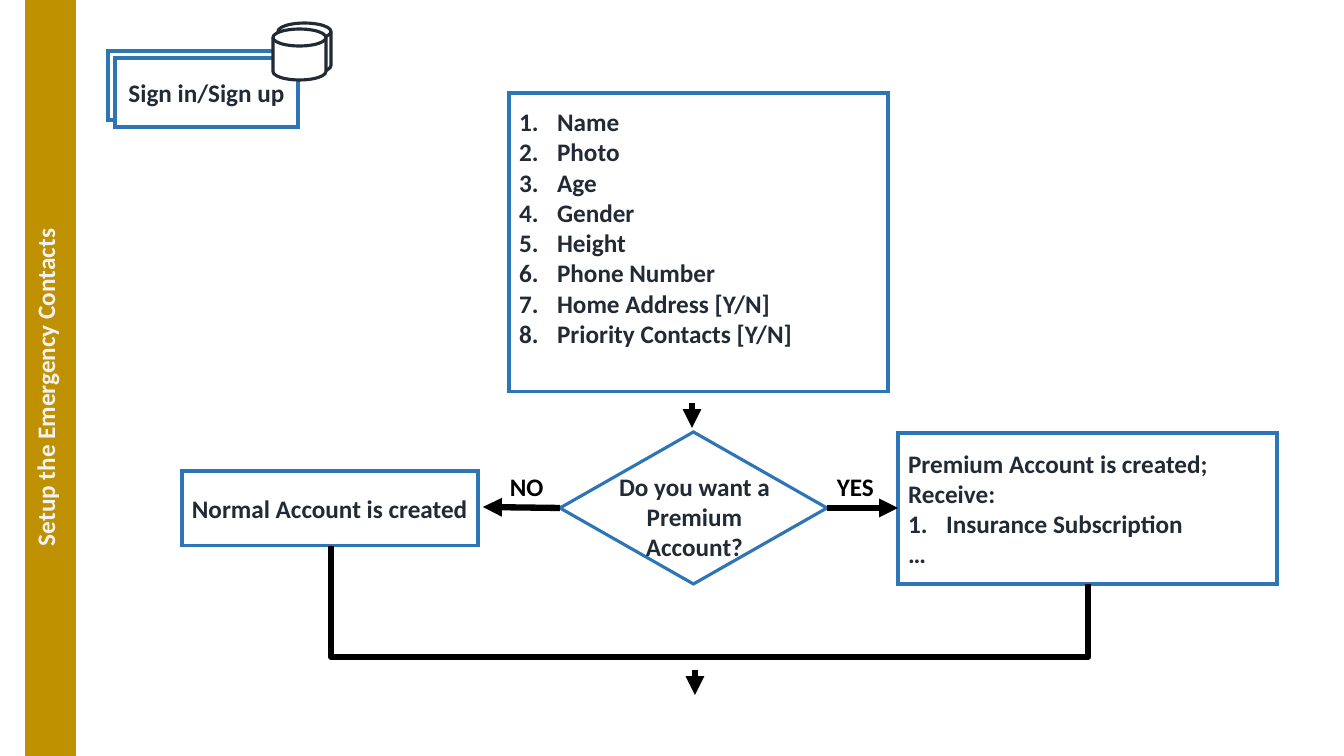
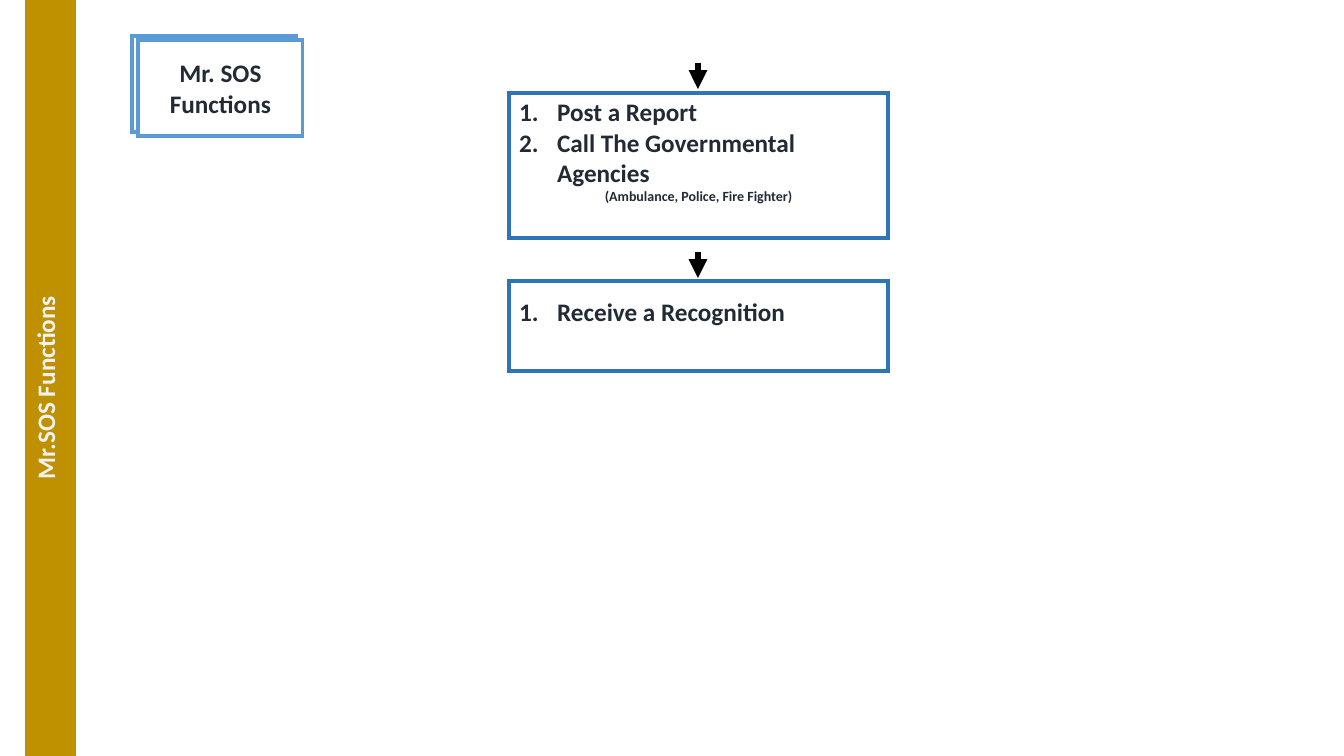
from collections import namedtuple

from lxml.etree import SubElement
from pptx import Presentation
from pptx.dml.color import RGBColor
from pptx.enum.shapes import MSO_CONNECTOR as Connector, MSO_SHAPE as Preset
from pptx.enum.text import MSO_ANCHOR as Anchor, MSO_AUTO_SIZE as AutoSize, PP_ALIGN as Align
from pptx.oxml.ns import qn
from pptx.util import Emu, Pt

# Shared look
GOLD = RGBColor(0xBF, 0x90, 0x00)
PALE = RGBColor(0xF2, 0xF2, 0xF2)
BLUE = RGBColor(0x2E, 0x75, 0xB6)
LIGHT_BLUE = RGBColor(0x5B, 0x9B, 0xD5)
INK = RGBColor(0x22, 0x2A, 0x35)
BLACK = RGBColor(0, 0, 0)
WHITE = RGBColor(255, 255, 255)
FONT = "Calibri"
OUTLINE, ARROW = Pt(2.25), Pt(4.5)
LIST_INDENT = 38
INSET = 5
TEXT_ROW = 30
BAND_LEFT, BAND_WIDTH, BAND_LENGTH = 25, 51, 775
TWO_CONTENT_LAYOUT = 3

Line = namedtuple("Line", "text numbered align size", defaults=(False, Align.LEFT, 18))


def px(value):
    return Emu(round(value * 9144000 / 1008))


def place(shape, box):
    shape.left, shape.top, shape.width, shape.height = map(px, box)


def numbered(*texts):
    return [Line(text, numbered=True) for text in texts]


def centred(text):
    return [Line(text, align=Align.CENTER)]


# Text
def write(shape, lines, color=INK, anchor=Anchor.MIDDLE, bottom=INSET):
    frame = shape.text_frame
    frame.word_wrap = True
    frame.auto_size = AutoSize.NONE
    frame.vertical_anchor = anchor
    frame.margin_bottom = px(bottom)
    for index, line in enumerate(lines):
        paragraph = frame.add_paragraph() if index else frame.paragraphs[0]
        paragraph.alignment = line.align
        paragraph.space_before = Pt(0)
        set_bullet(paragraph, line.numbered)
        run = paragraph.add_run()
        run.text = line.text
        run.font.name, run.font.size, run.font.bold = FONT, Pt(line.size), True
        run.font.color.rgb = color


def set_bullet(paragraph, is_numbered):
    indent = px(LIST_INDENT) if is_numbered else 0
    properties = paragraph._p.get_or_add_pPr()
    properties.set("marL", str(indent))
    properties.set("indent", str(-indent))
    if is_numbered:
        SubElement(properties, qn("a:buAutoNum"), type="arabicPeriod")
    else:
        SubElement(properties, qn("a:buNone"))


def add_label(slide, box, text, color=BLACK, align=Align.LEFT):
    label = slide.shapes.add_textbox(*map(px, box))
    write(label, [Line(text, align=align)], color, Anchor.TOP)


# Boxes
def outline(shape, color):
    """Give a shape a thin line with sharp corners."""
    shape.line.color.rgb = color
    shape.line.width = OUTLINE
    SubElement(shape.line._get_or_add_ln(), qn("a:miter"), lim="800000")


def add_box(slide, box, lines=(), line_color=BLUE, preset=Preset.RECTANGLE):
    shape = slide.shapes.add_shape(preset, *map(px, box))
    shape.shadow.inherit = False
    shape.fill.solid()
    shape.fill.fore_color.rgb = WHITE
    outline(shape, line_color)
    write(shape, lines)


def add_stack(slide, box, offset, lines=(), **style):
    """Draw a box at the given place with a twin shifted behind it."""
    left, top, width, height = box
    add_box(slide, (left + offset[0], top + offset[1], width, height), **style)
    add_box(slide, box, lines, **style)


def fill_panel(panel, box, lines, bottom=INSET):
    place(panel, box)
    outline(panel, BLUE)
    write(panel, lines, bottom=bottom)


# Connectors
def add_connector(slide, kind, points):
    connector = slide.shapes.add_connector(kind, *map(px, points))
    connector.line.color.rgb = BLACK
    connector.line.width = ARROW
    SubElement(connector._element.spPr, qn("a:effectLst"))
    return connector


def add_arrow(slide, *points):
    arrow = add_connector(slide, Connector.STRAIGHT, points)
    SubElement(arrow.line._get_or_add_ln(), qn("a:tailEnd"), type="triangle")


def add_bracket(slide, start, end, bottom):
    """Join two points by an elbow line running along the given bottom."""
    (x1, y1), (x2, y2) = start, end
    drop, half_drop, half_span = y2 - y1, (y2 - y1) / 2, (x2 - x1) / 2
    mid_x, mid_y = (x1 + x2) / 2, (y1 + y2) / 2
    elbow = add_connector(slide, Connector.ELBOW, (
        mid_x + half_drop, mid_y - half_span, mid_x - half_drop, mid_y + half_span))
    properties = elbow._element.spPr
    properties.find(qn("a:xfrm")).set("rot", str(270 * 60000))
    guides = properties.find(qn("a:prstGeom")).get_or_add_avLst()
    ratio = round((bottom - y1) / drop * 100000)
    SubElement(guides, qn("a:gd"), name="adj1", fmla=f"val {ratio}")


# Slides
def fill_band(band, title):
    """Turn the title a quarter left so that it stands along the slide's side."""
    shift = (BAND_LENGTH - BAND_WIDTH) / 2
    place(band, (BAND_LEFT - shift, shift, BAND_LENGTH, BAND_WIDTH))
    band.rotation = 270
    band.fill.solid()
    band.fill.fore_color.rgb = GOLD
    write(band, centred(title), PALE, Anchor.TOP)


def add_slide(presentation, title):
    """Add a slide with its side band; return it with its two panels."""
    slide = presentation.slides.add_slide(presentation.slide_layouts[TWO_CONTENT_LAYOUT])
    band, *panels = slide.placeholders
    fill_band(band, title)
    return slide, panels


def build_contacts(presentation):
    slide, (details, premium) = add_slide(presentation, "Setup the Emergency Contacts")
    fill_panel(details, (509, 93, 379, 299), numbered(
        "Name", "Photo", "Age", "Gender", "Height", "Phone Number",
        "Home Address [Y/N]", "Priority Contacts [Y/N]"), INSET + TEXT_ROW)
    fill_panel(premium, (898, 433, 379, 151), [
        Line("Premium Account is created;"), Line("Receive:"),
        *numbered("Insurance Subscription"), Line("…")])

    # Sign-in box with its database
    add_stack(slide, (115, 58, 183, 69), (-7, -7), centred("Sign in/Sign up"))
    add_stack(slide, (273, 29, 53, 51), (5, -6), line_color=INK,
              preset=Preset.FLOWCHART_MAGNETIC_DISK)

    # Decision and its two outcomes
    add_box(slide, (560, 432, 267, 152), preset=Preset.FLOWCHART_DECISION)
    add_label(slide, (591, 466, 207, 132), "Do you want a Premium Account?",
              INK, Align.CENTER)
    add_label(slide, (500, 466, 60, 40), "NO")
    add_label(slide, (827, 466, 60, 40), "YES")
    add_box(slide, (182, 471, 296, 75), [Line("Normal Account is created")])
    add_arrow(slide, 692, 403, 692, 428)
    add_arrow(slide, 560, 508, 483, 507)
    add_arrow(slide, 827, 508, 898, 508)
    add_bracket(slide, (331, 546), (1088, 584), 657)
    add_arrow(slide, 695, 670, 695, 695)


def build_functions(presentation):
    slide, (actions, reward) = add_slide(presentation, "Mr.SOS Functions")
    fill_panel(actions, (509, 93, 379, 145), [
        *numbered("Post a Report", "Call The Governmental Agencies"),
        Line("(Ambulance, Police, Fire Fighter)", align=Align.CENTER, size=10),
    ], INSET + TEXT_ROW)
    fill_panel(reward, (509, 281, 379, 90), numbered("Receive a Recognition"),
               INSET + TEXT_ROW)
    add_stack(slide, (138, 40, 165, 96), (-6, -4), centred("Mr. SOS Functions"),
              line_color=LIGHT_BLUE)
    for top in (63, 252):
        add_arrow(slide, 698, top, 698, top + 26)


def main():
    presentation = Presentation()
    presentation.slide_width, presentation.slide_height = px(1344), px(756)
    build_contacts(presentation)
    build_functions(presentation)
    presentation.save("out.pptx")


if __name__ == "__main__":
    main()
